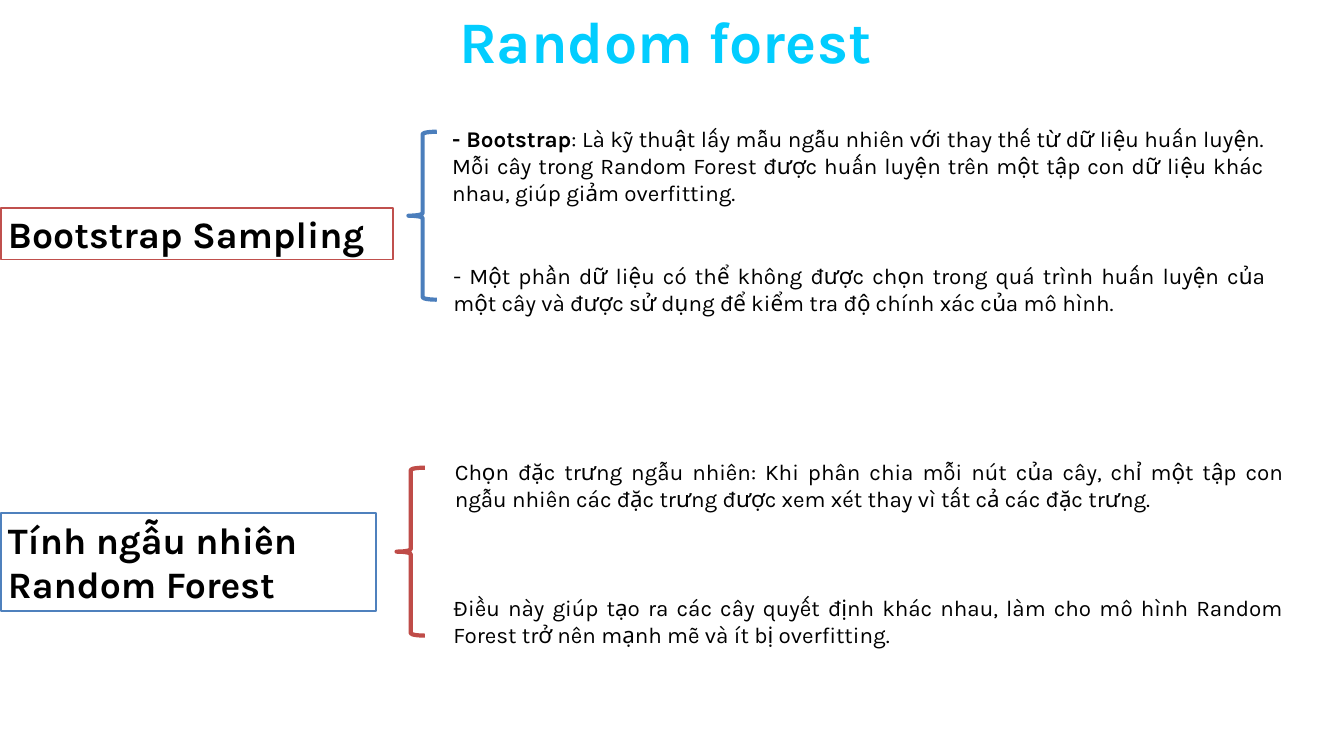
from pptx import Presentation, util as u
from pptx.dml.color import RGBColor
from pptx.enum import shapes, text

WHITE = RGBColor(0xFF, 0xFF, 0xFF)
BLACK = RGBColor(0x00, 0x00, 0x00)
CYAN = RGBColor(0x02, 0xCD, 0xFF)
RED = RGBColor(0xC0, 0x50, 0x4D)
BLUE = RGBColor(0x4F, 0x81, 0xBD)
BRACE_RED = RGBColor(0xBF, 0x4C, 0x48)
BRACE_BLUE = RGBColor(0x4B, 0x7E, 0xBC)
FONT = "Karla"


def cm(*lengths):
    return [u.Cm(n) for n in lengths]


def write(sp, *paragraphs, size=24, color=BLACK, bold=False,
          align=text.PP_ALIGN.LEFT, spacing=None):
    tf = sp.text_frame
    tf.word_wrap = True
    tf.vertical_anchor = text.MSO_ANCHOR.TOP
    for i, runs in enumerate(paragraphs):
        p = tf.add_paragraph() if i else tf.paragraphs[0]
        p.alignment = align
        if spacing:
            p.line_spacing = u.Pt(spacing)
        for content, strong in runs:
            r = p.add_run()
            r.text = content
            r.font.name = FONT
            r.font.size = u.Pt(size)
            r.font.bold = bold or strong
            r.font.color.rgb = color


def add_title(s, content):
    sp = s.shapes.title
    sp.left, sp.top, sp.width, sp.height = cm(12.98, 0.41, 24.33, 2.46)
    tf = sp.text_frame
    tf.auto_size = text.MSO_AUTO_SIZE.NONE
    tf.margin_left = tf.margin_right = tf.margin_top = tf.margin_bottom = 0
    write(sp, [(content, True)], size=63, color=CYAN,
          align=text.PP_ALIGN.CENTER, spacing=69.3)


def add_topic(s, at, line, *lines):
    sp = s.shapes.add_shape(shapes.MSO_SHAPE.RECTANGLE, *cm(*at))
    sp.shadow.inherit = False
    sp.fill.solid()
    sp.fill.fore_color.rgb = WHITE
    sp.line.color.rgb = line
    sp.line.width = u.Pt(2)
    write(sp, *[[(content, True)] for content in lines], size=40)


def add_note(s, at, *runs):
    sp = s.shapes.add_textbox(*cm(*at))
    write(sp, runs, align=text.PP_ALIGN.JUSTIFY)


def add_brace(s, left, top, color):
    sp = s.shapes.add_shape(shapes.MSO_SHAPE.LEFT_BRACE,
                            *cm(left, top, 1.07, 6.35))
    sp.shadow.inherit = False
    sp.fill.background()
    sp.line.color.rgb = color
    sp.line.width = u.Pt(4.5)


def main():
    prs = Presentation()
    prs.slide_width, prs.slide_height = cm(50.8, 28.58)
    s = prs.slides.add_slide(prs.slide_layouts[5])
    add_title(s, "Random forest")

    add_topic(s, (0.05, 7.85, 14.81, 1.96), RED, "Bootstrap Sampling")
    add_note(s, (16.84, 4.62, 31.17, 3.33),
             ("- Bootstrap", True),
             (": Là kỹ thuật lấy mẫu ngẫu nhiên với thay thế từ dữ liệu huấn "
              "luyện. Mỗi cây trong Random Forest được huấn luyện trên một "
              "tập con dữ liệu khác nhau, giúp giảm overfitting.", False))
    add_note(s, (16.89, 9.8, 31.17, 2.31),
             ("- Một phần dữ liệu có thể không được chọn trong quá trình huấn "
              "luyện của một cây và được sử dụng để kiểm tra độ chính xác "
              "của mô hình.", False))
    add_brace(s, 15.44, 4.98, BRACE_BLUE)

    add_topic(s, (0.05, 19.41, 14.15, 3.68), BLUE,
              "Tính ngẫu nhiên", "Random Forest")
    add_note(s, (16.94, 17.2, 31.8, 2.31),
             ("Chọn đặc trưng ngẫu nhiên: Khi phân chia mỗi nút của cây, chỉ "
              "một tập con ngẫu nhiên các đặc trưng được xem xét thay vì tất "
              "cả các đặc trưng.", False))
    add_note(s, (16.89, 22.33, 31.83, 2.31),
             ("Điều này giúp tạo ra các cây quyết định khác nhau, làm cho mô "
              "hình Random Forest trở nên mạnh mẽ và ít bị overfitting.",
              False))
    add_brace(s, 14.99, 17.68, BRACE_RED)

    prs.save("out.pptx")


if __name__ == "__main__":
    main()
